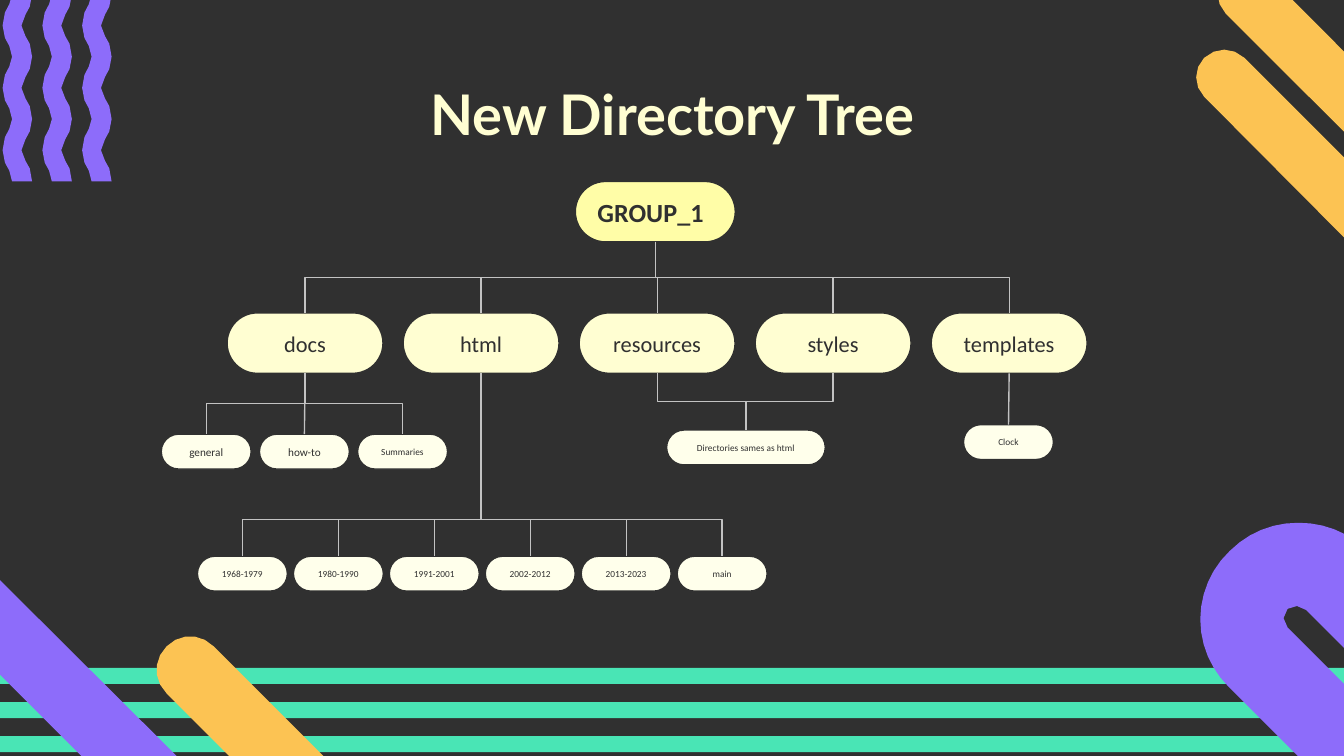
import math

import lxml.etree
import pptx
import pptx.dml.color
import pptx.enum.shapes
import pptx.enum.text
import pptx.oxml.ns
import pptx.util

Pt = pptx.util.Pt
RGBColor = pptx.dml.color.RGBColor
SHAPE = pptx.enum.shapes.MSO_SHAPE
CONNECTOR = pptx.enum.shapes.MSO_CONNECTOR
ALIGN = pptx.enum.text.PP_ALIGN
ANCHOR = pptx.enum.text.MSO_ANCHOR
qn = pptx.oxml.ns.qn

DARK = RGBColor(0x30, 0x30, 0x30)
GREEN = RGBColor(0x49, 0xE5, 0xB5)
PURPLE = RGBColor(0x8D, 0x6C, 0xFA)
ORANGE = RGBColor(0xFC, 0xC3, 0x53)
YELLOW = RGBColor(0xFF, 0xFD, 0xA7)
CREAM = RGBColor(0xFF, 0xFE, 0xD2)
IVORY = RGBColor(0xFF, 0xFF, 0xEB)
GRAY = RGBColor(0xC2, 0xC2, 0xC2)

presentation = pptx.Presentation()
presentation.slide_width, presentation.slide_height = Pt(720), Pt(405)
slide = presentation.slides.add_slide(presentation.slide_layouts[5])
slide.background.fill.solid()
slide.background.fill.fore_color.rgb = DARK


def write_text(shape, text, *, size, color=DARK, font="Calibri", bold=False,
               align=ALIGN.CENTER, anchor=ANCHOR.MIDDLE):
    frame = shape.text_frame
    frame.word_wrap = True
    frame.auto_size = pptx.enum.text.MSO_AUTO_SIZE.NONE
    frame.vertical_anchor = anchor
    frame.margin_left = frame.margin_right = Pt(7.2)
    frame.margin_top = frame.margin_bottom = Pt(7.2)
    paragraph = frame.paragraphs[0]
    paragraph.alignment = align
    run = paragraph.add_run()
    run.text = text
    run.font.size, run.font.name, run.font.bold = Pt(size), font, bold
    run.font.color.rgb = color


def draw_outline(segments, color):
    """Pairs are line ends; sextuples are Bézier curves, drawn in short steps."""
    points = [segments[0]]
    for segment in segments[1:]:
        if len(segment) == 2:
            points.append(segment)
            continue
        x0, y0 = points[-1]
        x1, y1, x2, y2, x3, y3 = segment
        steps = max(1, min(6, round(math.hypot(x3 - x0, y3 - y0) / 5)))
        for step in range(1, steps + 1):
            t = step / steps
            a, b, c, d = (1 - t) ** 3, 3 * t * (1 - t) ** 2, 3 * t * t * (1 - t), t ** 3
            points.append((a * x0 + b * x1 + c * x2 + d * x3,
                           a * y0 + b * y1 + c * y2 + d * y3))
    points = [(Pt(x), Pt(y)) for x, y in points]
    builder = slide.shapes.build_freeform(*points[0])
    builder.add_line_segments(points[1:], close=True)
    shape = builder.convert_to_shape()
    shape.shadow.inherit = False
    shape.fill.solid()
    shape.fill.fore_color.rgb = color
    shape.line.fill.background()


# Green bars along the bottom
for row in range(3):
    bar = slide.shapes.add_shape(SHAPE.RECTANGLE, Pt(-10.8), Pt(357.8 + 18.3 * row),
                                 Pt(741.6), Pt(8.6))
    bar.shadow.inherit = False
    bar.fill.solid()
    bar.fill.fore_color.rgb = GREEN
    bar.line.fill.background()

# Purple waves, three periods each
PERIOD, TOP = 33.4, -3
for x in (44, 22.7, 1.4):
    wave = [(x + 5.1, TOP + 3 * PERIOD)]
    for y in (TOP + PERIOD * n for n in (3, 2, 1)):
        wave += [(x + 5.1, y - 2.9, x + 4.4, y - 3.6, x + 3.6, y - 5.8),
                 (x + 2.2, y - 7.9, x, y - 11.5, x, y - 16.7),
                 (x, y - 22.3, x + 2.2, y - 25.9, x + 3.6, y - 28.1),
                 (x + 4.4, y - 29.5, x + 5.1, y - 30.2, x + 5.1, y - PERIOD)]
    wave.append((x + 15.8, TOP))
    for y in (TOP + PERIOD * n for n in (0, 1, 2)):
        wave += [(x + 15.8, y + 5.4, x + 13.7, y + 8.6, x + 12.3, y + 10.8),
                 (x + 10.8, y + 13, x + 10.1, y + 13.7, x + 10.1, y + 16.7),
                 (x + 10.1, y + 19.5, x + 10.8, y + 20.2, x + 12.3, y + 22.4),
                 (x + 13.7, y + 24.5, x + 15.8, y + 27.4, x + 15.8, y + PERIOD)]
    draw_outline(wave, PURPLE)

# Orange clip, top right
draw_outline([
    (667.4, -18.7), (678.2, -14.4), (808.6, 116.6), (819.4, 141.1), (808.6, 166.3),
    (784.1, 176.4), (758.9, 166.3), (645.1, 51.8),
    (639.4, 46.1, 639.4, 36.7, 645.1, 31), (648, 28.1, 652.3, 26.6, 655.9, 26.6),
    (659.5, 26.6, 663.8, 28.1, 666.7, 31), (780.5, 144.7), (787.7, 138.2), (656.6, 7.2),
    (650.9, 1.4, 650.9, -8.6, 656.6, -14.4),
], ORANGE)

# Purple clip, bottom right
draw_outline([
    (867.6, 568.1), (851.8, 561.6), (658.1, 367.9),
    (648.7, 358.6, 643, 345.6, 643, 331.9), (643, 318.2, 648.7, 304.6, 658.8, 295.2),
    (668.9, 285.1, 681.8, 280.1, 695.5, 280.1), (708.5, 280.1, 721.4, 284.4, 731.5, 294.5),
    (900.7, 463), (900, 494.6), (884.2, 501.8), (868.3, 495.4), (699.8, 326.9),
    (698.4, 325.4, 697, 324.7, 694.8, 324.7), (693.4, 324.7, 691.2, 324.7, 689.8, 326.2),
    (689, 327.6, 687.6, 329.8, 687.6, 331.2), (687.6, 333.4, 688.3, 334.8, 689.8, 336.2),
    (883.4, 529.9), (883.4, 561.6),
], PURPLE)

# Diagonal stripes, bottom left
draw_outline([(82.8, 444.2), (-65.5, 295.9), (-65.5, 270.7), (-40.3, 270.7), (108, 418.3)], PURPLE)
draw_outline([(157, 439.2), (89.3, 371.5), (82.1, 364.3, 82.1, 353.5, 89.3, 346.3),
              (96.5, 339.1, 107.3, 339.1, 114.5, 346.3), (182.2, 414)], ORANGE)

# Title
title = slide.shapes.title
title.left, title.top, title.width, title.height = Pt(56.9), Pt(35.3), Pt(607), Pt(45.4)
write_text(title, "New Directory Tree", size=30, color=CREAM, font="Lato", bold=True,
           anchor=ANCHOR.TOP)

# Tree nodes: text, left, top, width, height, fill, text size
FOLDERS = ["docs", "html", "resources", "styles", "templates"]
DOCS = ["general", "how-to", "Summaries"]
HTML = ["1968-1979", "1980-1990", "1991-2001", "2002-2012", "2013-2023", "main"]
SHARED = "Directories sames as html"
nodes = [("GROUP_1", 308.2, 97.2, 85.7, 32.4, YELLOW, 14)]
nodes += [(name, 121.7 + 94.3 * i, 167.6, 83.5, 32.4, CREAM, 12)
          for i, name in enumerate(FOLDERS)]
nodes += [(name, 86.4 + 52.6 * i, 232.6, 48.2, 18.7, IVORY, 5 if name == "Summaries" else 6)
          for i, name in enumerate(DOCS)]
nodes += [(name, 105.8 + 51.4 * i, 298, 48.2, 18.7, IVORY, 5) for i, name in enumerate(HTML)]
nodes += [(SHARED, 357.1, 230.4, 85, 18.7, IVORY, 5), ("Clock", 516.2, 227.5, 48.2, 18.7, IVORY, 5)]
boxes = {}
for name, left, top, width, height, color, size in nodes:
    shape = slide.shapes.add_shape(SHAPE.ROUNDED_RECTANGLE, Pt(left), Pt(top), Pt(width), Pt(height))
    shape.adjustments[0] = 0.5
    shape.shadow.inherit = False
    shape.fill.solid()
    shape.fill.fore_color.rgb = color
    shape.line.color.rgb, shape.line.width = DARK, Pt(0.75)
    is_root = name == "GROUP_1"
    write_text(shape, name, size=size, bold=is_root, align=ALIGN.LEFT if is_root else ALIGN.CENTER)
    boxes[name] = shape

# Branches: parent, child, share of the height at which the elbow bends
branches = [("GROUP_1", name, 0.5) for name in FOLDERS]
branches += [("docs", name, 0.5) for name in DOCS]
branches += [("html", name, 0.8) for name in HTML]
branches += [("resources", SHARED, 0.5), ("styles", SHARED, 0.5), ("templates", "Clock", 0.5)]
for parent_name, child_name, bend in branches:
    parent, child = boxes[parent_name], boxes[child_name]
    x1, y1 = parent.left + parent.width // 2, parent.top + parent.height
    x2, y2 = child.left + child.width // 2, child.top
    if abs(x2 - x1) < Pt(1):
        connector = slide.shapes.add_connector(CONNECTOR.STRAIGHT, x1, y1, x2, y2)
    else:
        # A turned elbow leaves the parent downwards
        middle_x, middle_y = (x1 + x2) // 2, (y1 + y2) // 2
        half_drop, half_span = (y2 - y1) // 2, abs(x2 - x1) // 2
        connector = slide.shapes.add_connector(
            CONNECTOR.ELBOW, middle_x - half_drop, middle_y - half_span,
            middle_x + half_drop, middle_y + half_span)
        transform = connector._element.spPr.find(qn("a:xfrm"))
        transform.set("rot", str((270 if x2 > x1 else 90) * 60000))
        if x2 > x1:
            transform.set("flipH", "1")
        guides = connector._element.spPr.find(qn("a:prstGeom")).find(qn("a:avLst"))
        lxml.etree.SubElement(guides, qn("a:gd"), name="adj1", fmla=f"val {round(bend * 100000)}")
    connector.line.color.rgb, connector.line.width = GRAY, Pt(0.75)
    lxml.etree.SubElement(connector._element.spPr, qn("a:effectLst"))

presentation.save("out.pptx")
